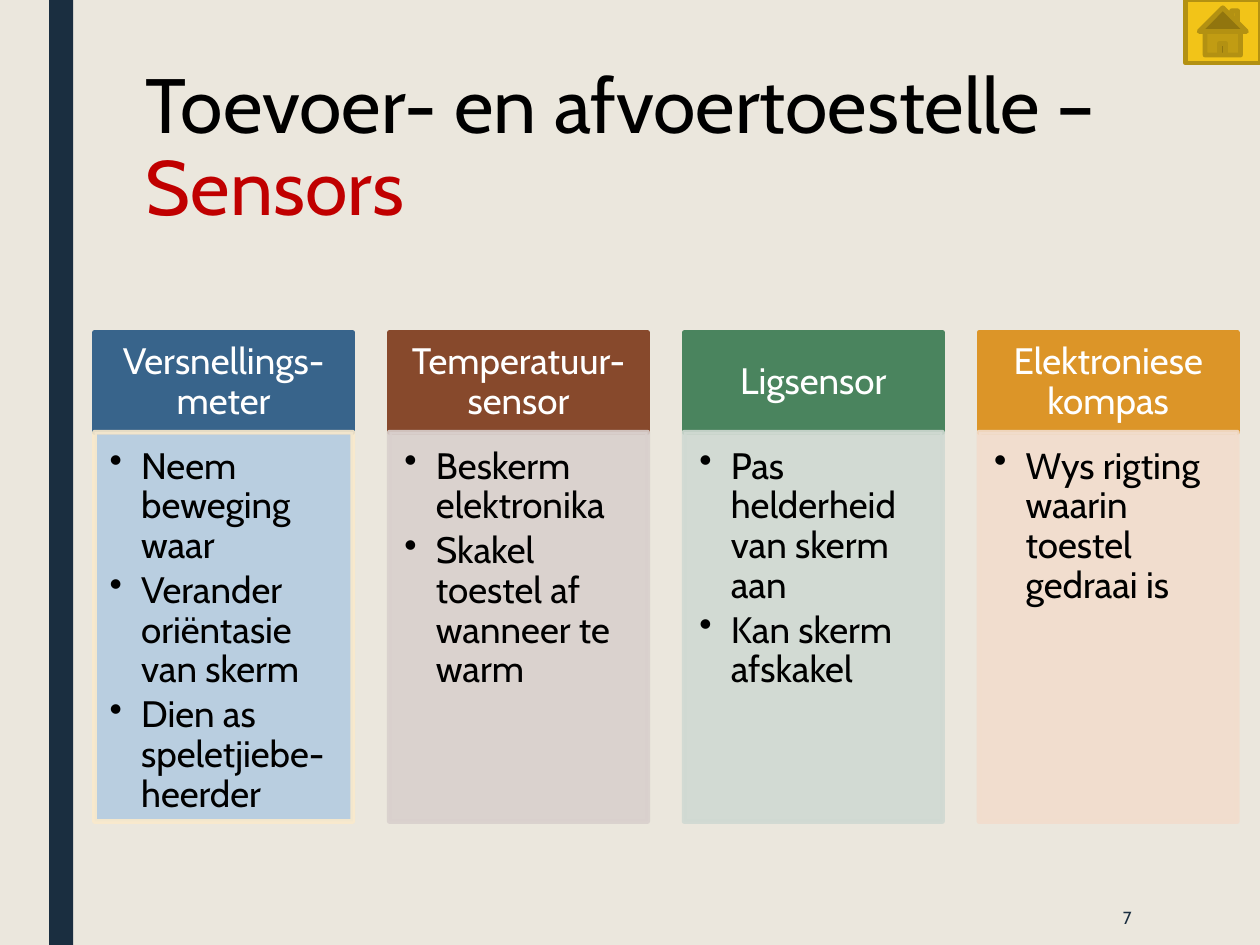
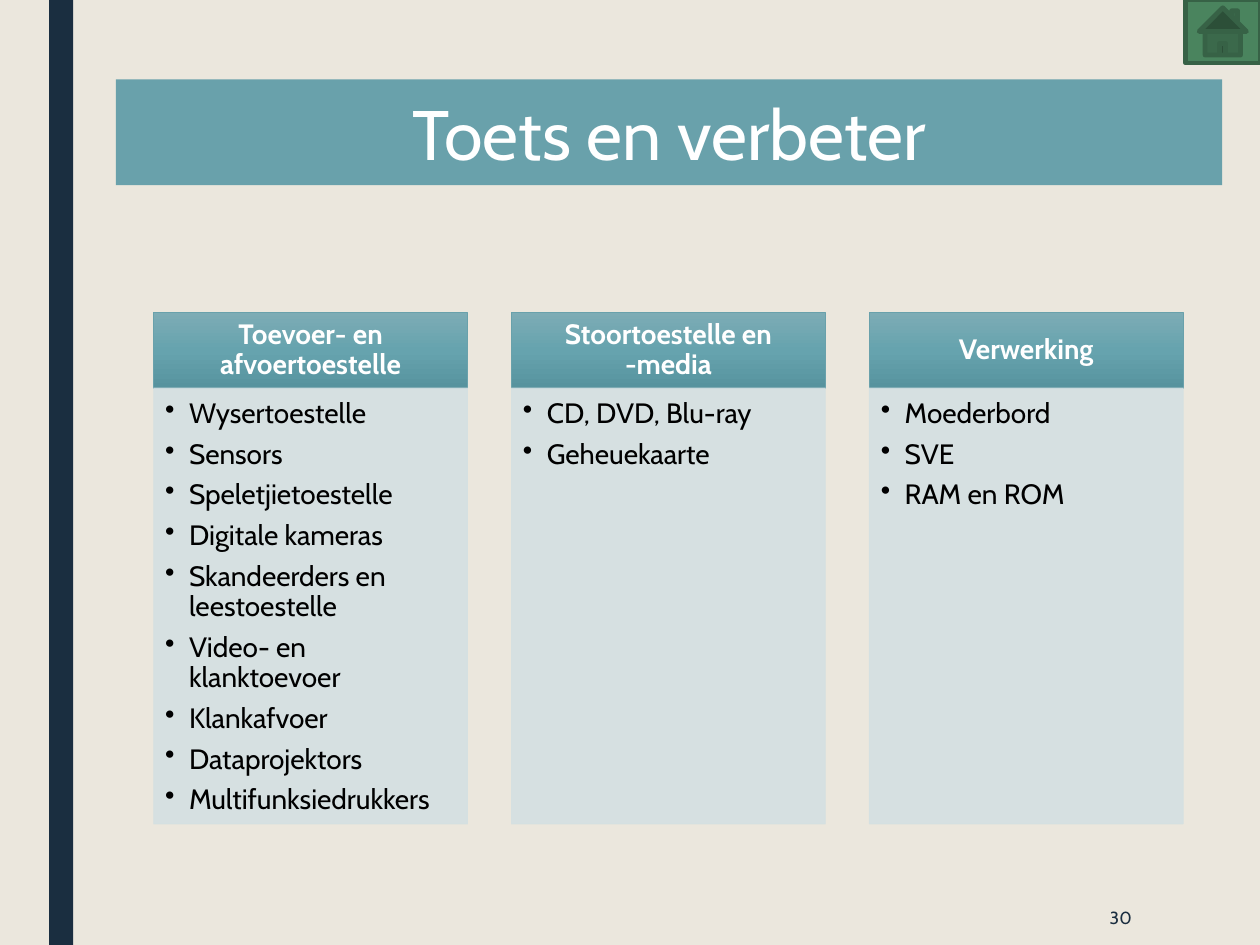
import copy
from dataclasses import dataclass

import pptx
import pptx.dml.color
import pptx.enum.shapes
import pptx.enum.text
import pptx.oxml
import pptx.oxml.ns
import pptx.util

Inches = pptx.util.Inches
Pt = pptx.util.Pt
RGBColor = pptx.dml.color.RGBColor
MSO_SHAPE = pptx.enum.shapes.MSO_SHAPE
PP_ALIGN = pptx.enum.text.PP_ALIGN
MSO_ANCHOR = pptx.enum.text.MSO_ANCHOR

FONT = "Cabin"
CREAM = RGBColor(0xEB, 0xE7, 0xDD)
NAVY = RGBColor(0x1A, 0x2E, 0x40)
BLACK = RGBColor(0, 0, 0)
WHITE = RGBColor(0xFF, 0xFF, 0xFF)
RED = RGBColor(0xC0, 0, 0)
BLUE = RGBColor(0x38, 0x64, 0x8B)
LIGHT_BLUE = RGBColor(0xB4, 0xCC, 0xE1)
PALE_YELLOW = RGBColor(0xFA, 0xEA, 0xCC)
BROWN = RGBColor(0x87, 0x49, 0x2C)
LIGHT_BROWN = RGBColor(0xD9, 0xD0, 0xCD)
GREEN = RGBColor(0x4A, 0x84, 0x5E)
DARK_GREEN = RGBColor(0x37, 0x62, 0x46)
LIGHT_GREEN = RGBColor(0xD0, 0xD9, 0xD2)
ORANGE = RGBColor(0xDC, 0x95, 0x28)
LIGHT_ORANGE = RGBColor(0xF2, 0xDD, 0xCD)
YELLOW = RGBColor(0xF2, 0xC4, 0x18)
DARK_YELLOW = RGBColor(0xB3, 0x91, 0x12)
TEAL = RGBColor(0x69, 0xA1, 0xAB)
LIGHT_TEAL = RGBColor(0xD4, 0xE0, 0xE2)
TEAL_GRADIENT = (
    (0, RGBColor(0x7D, 0xAC, 0xB5)),
    (0.5, RGBColor(0x66, 0xA3, 0xAE)),
    (1, RGBColor(0x57, 0x93, 0x9E)),
)


@dataclass
class ColumnStyle:
    left: float
    top: float
    pitch: float
    width: float
    head_height: float
    body_height: float
    size: int
    line_width: float
    head_insets: tuple
    body_insets: tuple
    indent: float
    space_after: float
    bold: bool


SENSOR_STYLE = ColumnStyle(
    0.75, 2.64, 2.34, 2.05, 0.79, 3.09, 21, 2.75,
    (0.16, 0.09, 0.16, 0.09), (0.12, 0.12, 0.16, 0.18), 0.25, 3, False)
REVIEW_STYLE = ColumnStyle(
    1.22, 2.48, 2.84, 2.49, 0.6, 3.46, 16, 0.5,
    (0.12, 0.07, 0.12, 0.07), (0.09, 0.09, 0.12, 0.14), 0.19, 6, True)

SENSORS = [
    ("Versnellings-meter", BLUE, LIGHT_BLUE, PALE_YELLOW,
     ["Neem beweging waar", "Verander oriëntasie van skerm",
      "Dien as speletjiebe-heerder"]),
    ("Temperatuur-sensor", BROWN, LIGHT_BROWN, LIGHT_BROWN,
     ["Beskerm elektronika", "Skakel toestel af wanneer te warm"]),
    ("Ligsensor", GREEN, LIGHT_GREEN, LIGHT_GREEN,
     ["Pas helderheid van skerm aan", "Kan skerm afskakel"]),
    ("Elektroniese kompas", ORANGE, LIGHT_ORANGE, LIGHT_ORANGE,
     ["Wys rigting waarin toestel gedraai is"]),
]
REVIEW_TOPICS = [
    ("Toevoer- en afvoertoestelle",
     ["Wysertoestelle", "Sensors", "Speletjietoestelle", "Digitale kameras",
      "Skandeerders en leestoestelle", "Video- en klanktoevoer",
      "Klankafvoer", "Dataprojektors", "Multifunksiedrukkers"]),
    ("Stoortoestelle en\n-media", ["CD, DVD, Blu-ray", "Geheuekaarte"]),
    ("Verwerking", ["Moederbord", "SVE", "RAM en ROM"]),
]


def add_box(slide, box, fill, line=None, width=0, preset=MSO_SHAPE.RECTANGLE):
    sp = slide.shapes.add_shape(preset, *map(Inches, box))
    sp.shadow.inherit = False
    sp.fill.solid()
    sp.fill.fore_color.rgb = fill
    if line is None:
        sp.line.fill.background()
    else:
        sp.line.color.rgb = line
        sp.line.width = Pt(width)
    return sp


def set_frame(sp, insets=(0.1, 0.05, 0.1, 0.05), anchor=MSO_ANCHOR.TOP):
    tf = sp.text_frame
    tf.word_wrap = True
    tf.vertical_anchor = anchor
    tf.margin_left, tf.margin_top, tf.margin_right, tf.margin_bottom = map(Inches, insets)
    return tf


def add_run(p, text, size, color, bold=False):
    r = p.add_run()
    r.text = text
    r.font.name = FONT
    r.font.size = Pt(size)
    r.font.color.rgb = color
    r.font.bold = bold


def set_gradient(sp, stops):
    sp.fill.gradient()
    sp.fill.gradient_angle = 270
    first = sp._element.spPr.find(".//" + pptx.oxml.ns.qn("a:gs"))
    first.addnext(copy.deepcopy(first))
    for stop, (position, color) in zip(sp.fill.gradient_stops, stops):
        stop.position = position
        stop.color.rgb = color


def set_opacity(sp, percent):
    for color in sp._element.spPr.iter(pptx.oxml.ns.qn("a:srgbClr")):
        alpha = pptx.oxml.parse_xml(
            f'<a:alpha {pptx.oxml.ns.nsdecls("a")} val="{percent * 1000}"/>')
        color.append(alpha)


def set_bullet(p, indent):
    pPr = p._p.get_or_add_pPr()
    pPr.set("marL", str(Inches(indent)))
    pPr.set("indent", str(-Inches(indent)))
    pPr.append(pptx.oxml.parse_xml(
        f'<a:buChar {pptx.oxml.ns.nsdecls("a")} char="•"/>'))


def add_column(slide, style, index, heading, items, fill, body_fill, body_line):
    left = style.left + index * style.pitch
    head = add_box(slide, (left, style.top, style.width, style.head_height),
                   fill, fill, style.line_width)
    p = set_frame(head, style.head_insets, MSO_ANCHOR.MIDDLE).paragraphs[0]
    p.alignment = PP_ALIGN.CENTER
    p.line_spacing = 0.9
    for i, text in enumerate(heading.split("\n")):
        if i:
            p.add_line_break()
        add_run(p, text, style.size, WHITE, style.bold)

    body = add_box(slide, (left, style.top + style.head_height, style.width, style.body_height),
                   body_fill, body_line, style.line_width)
    set_opacity(body, 90)
    tf = set_frame(body, style.body_insets)
    for i, item in enumerate(items):
        p = tf.add_paragraph() if i else tf.paragraphs[0]
        set_bullet(p, style.indent)
        p.alignment = PP_ALIGN.LEFT
        p.line_spacing = 0.9
        p.space_after = Pt(style.space_after)
        add_run(p, item, style.size, BLACK)
    return head


def add_base_slide(prs, number, home_fill, home_line):
    slide = prs.slides.add_slide(prs.slide_layouts[6])
    slide.background.fill.solid()
    slide.background.fill.fore_color.rgb = CREAM
    add_box(slide, (0.39, 0, 0.19, 7.5), NAVY)
    sp = slide.shapes.add_textbox(Inches(7.77), Inches(7.06), Inches(1.31), Inches(0.44))
    p = set_frame(sp, anchor=MSO_ANCHOR.MIDDLE).paragraphs[0]
    p.alignment = PP_ALIGN.RIGHT
    add_run(p, str(number), 10, NAVY)
    add_box(slide, (9.41, 0, 0.59, 0.5), home_fill, home_line, 2.75,
            MSO_SHAPE.ACTION_BUTTON_HOME)
    return slide


def add_sensor_slide(prs):
    slide = add_base_slide(prs, 7, YELLOW, DARK_YELLOW)
    title = slide.shapes.add_textbox(Inches(1.06), Inches(0.49), Inches(8.76), Inches(1.62))
    p = set_frame(title).paragraphs[0]
    p.line_spacing = 0.89
    add_run(p, "Toevoer- en afvoertoestelle – ", 44, BLACK)
    add_run(p, "Sensors", 44, RED)
    for i, (heading, fill, body_fill, body_line, items) in enumerate(SENSORS):
        add_column(slide, SENSOR_STYLE, i, heading, items, fill, body_fill, body_line)


def add_review_slide(prs):
    slide = add_base_slide(prs, 30, GREEN, DARK_GREEN)
    title = add_box(slide, (0.92, 0.63, 8.78, 0.84), TEAL)
    p = set_frame(title, anchor=MSO_ANCHOR.MIDDLE).paragraphs[0]
    p.alignment = PP_ALIGN.CENTER
    add_run(p, "Toets en verbeter", 40, WHITE)
    for i, (heading, items) in enumerate(REVIEW_TOPICS):
        head = add_column(slide, REVIEW_STYLE, i, heading, items, TEAL, LIGHT_TEAL, LIGHT_TEAL)
        set_gradient(head, TEAL_GRADIENT)


def main():
    prs = pptx.Presentation()
    prs.slide_width = Inches(10)
    prs.slide_height = Inches(7.5)
    add_sensor_slide(prs)
    add_review_slide(prs)
    prs.save("out.pptx")


if __name__ == "__main__":
    main()
